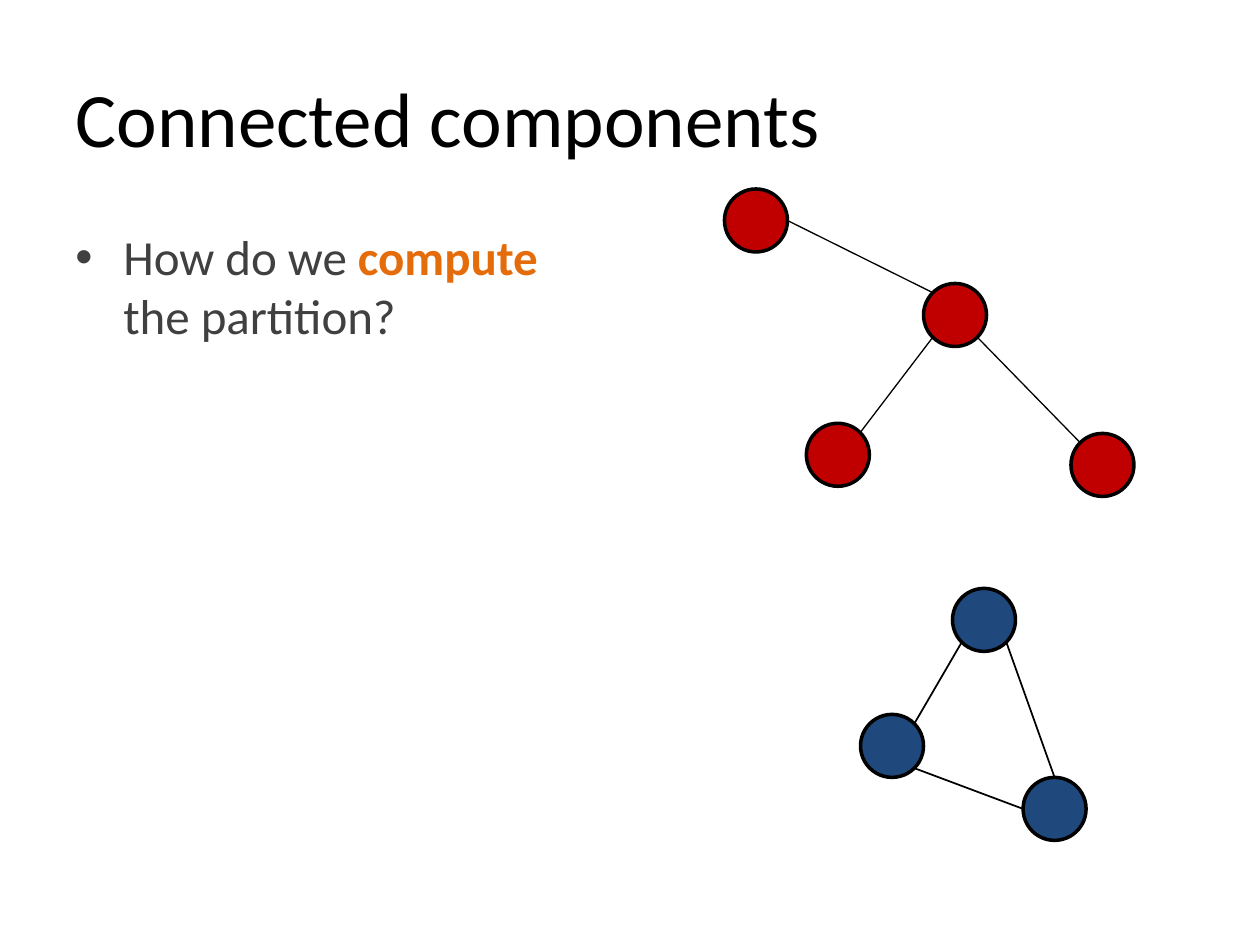
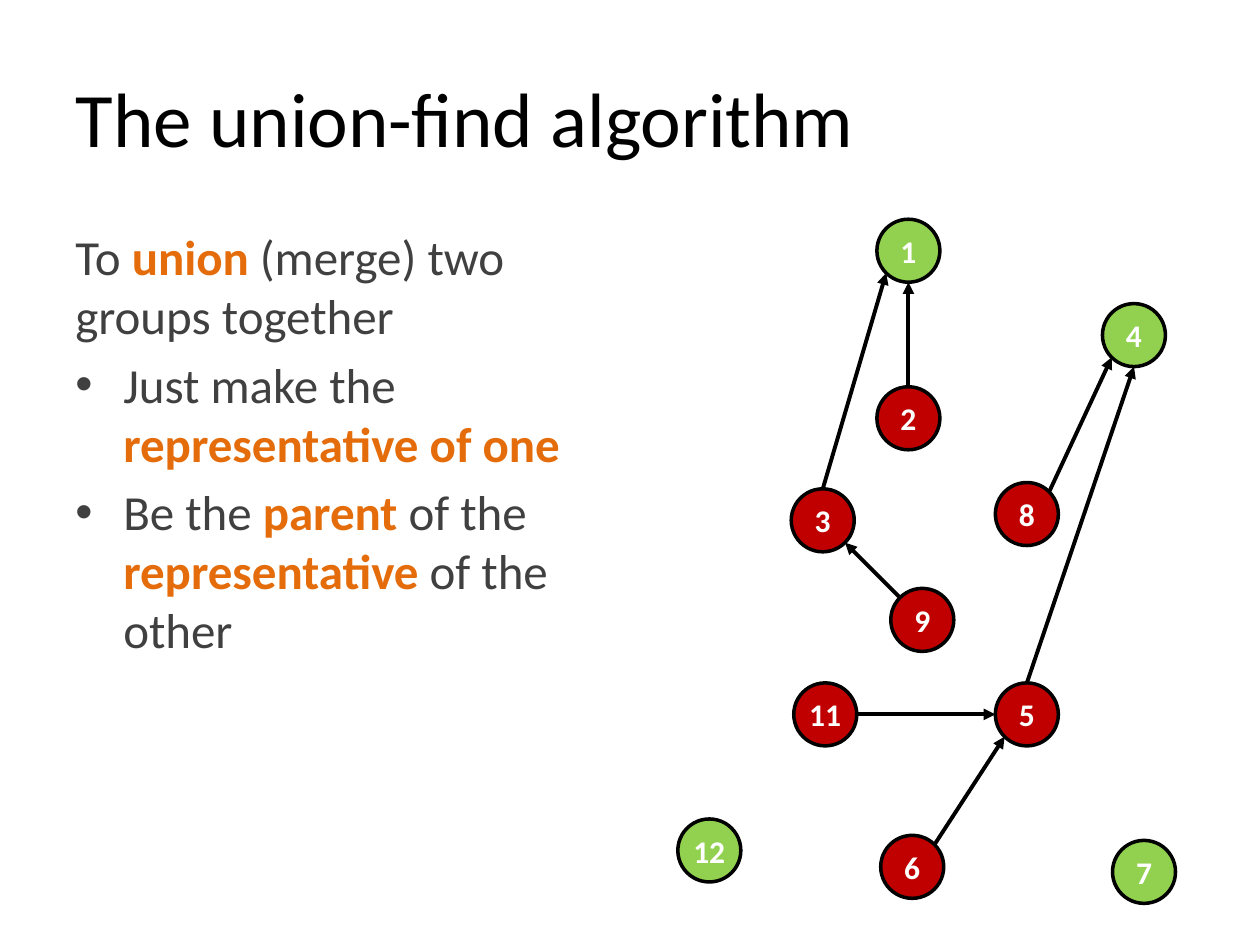
from dataclasses import dataclass
from math import sqrt

from lxml import etree
from pptx import Presentation
from pptx.dml.color import RGBColor
from pptx.enum import shapes, text
from pptx.oxml import ns
from pptx.util import Inches, Pt


@dataclass(frozen=True)
class Theme:
    font: str = "Calibri"
    black: str = "000000"
    white: str = "FFFFFF"
    grey: str = "404040"
    orange: str = "E46C0A"
    red: str = "C00000"
    blue: str = "1F497D"
    green: str = "92D050"
    title: float = 44
    body: float = 28
    label: float = 18
    rim: float = 2


T = Theme()
SIZE = 0.5
INDENT = 0.38

# Unit steps from a circle's centre to its rim.
D = 1 / sqrt(2)
SIDES = {
    "n": (0, -1), "ne": (D, -D), "e": (1, 0), "se": (D, D),
    "s": (0, 1), "sw": (-D, D), "w": (-1, 0), "nw": (-D, -D),
}


def color(code):
    return RGBColor.from_string(code)


def style(para, size, code, bold=False):
    font = para.font
    font.name, font.size, font.bold = T.font, Pt(size), bold
    font.color.rgb = color(code)


def place(shape, left, top, width, height):
    shape.left, shape.top = Inches(left), Inches(top)
    shape.width, shape.height = Inches(width), Inches(height)


def add_slide(deck, title):
    slide = deck.slides.add_slide(deck.slide_layouts[5])
    head = slide.shapes.title
    place(head, 0.5, 0.3, 9, 1.25)
    frame = head.text_frame
    frame.text = title
    frame.vertical_anchor = text.MSO_ANCHOR.MIDDLE
    para = frame.paragraphs[0]
    para.alignment = text.PP_ALIGN.LEFT
    style(para, T.title, T.black)
    return slide


def add_bullet(para):
    props = para._p.get_or_add_pPr()
    props.set("marL", str(Inches(INDENT)))
    props.set("indent", str(-Inches(INDENT)))
    face = etree.SubElement(props, ns.qn("a:buFont"))
    face.set("typeface", "Arial")
    etree.SubElement(props, ns.qn("a:buChar")).set("char", "•")


def add_body(slide, items):
    """Write (bulleted, words) items; words between asterisks stand out."""
    box = slide.shapes.add_textbox(
        Inches(0.5), Inches(1.75), Inches(4.42), Inches(4.95))
    frame = box.text_frame
    frame.word_wrap = True
    for i, (bulleted, words) in enumerate(items):
        para = frame.add_paragraph() if i else frame.paragraphs[0]
        para.space_before = Pt(0.2 * T.body)
        if bulleted:
            add_bullet(para)
        style(para, T.body, T.grey)
        for j, part in enumerate(words.split("*")):
            if part:
                run = para.add_run()
                run.text = part
                if j % 2:
                    run.font.bold = True
                    run.font.color.rgb = color(T.orange)


def add_node(slide, left, top, fill, label=""):
    node = slide.shapes.add_shape(
        shapes.MSO_SHAPE.OVAL, Inches(left), Inches(top),
        Inches(SIZE), Inches(SIZE))
    node.shadow.inherit = False
    node.fill.solid()
    node.fill.fore_color.rgb = color(fill)
    node.line.color.rgb = color(T.black)
    node.line.width = Pt(T.rim)
    if label:
        frame = node.text_frame
        frame.word_wrap = False
        frame.vertical_anchor = text.MSO_ANCHOR.MIDDLE
        frame.text = label
        para = frame.paragraphs[0]
        para.alignment = text.PP_ALIGN.CENTER
        style(para, T.label, T.white, True)


def rim_point(spot, side):
    half = SIZE / 2
    return [Inches(at + half + half * step)
            for at, step in zip(spot, SIDES[side])]


def add_edge(slide, start, end, width, arrow=False):
    """Join two (spot, side) ends."""
    line = slide.shapes.add_connector(
        shapes.MSO_CONNECTOR.STRAIGHT, *rim_point(*start), *rim_point(*end))
    line.line.color.rgb = color(T.black)
    line.line.width = Pt(width)
    if arrow:
        tail = etree.SubElement(line.line._get_or_add_ln(), ns.qn("a:tailEnd"))
        tail.set("type", "triangle")
    etree.SubElement(line._element.spPr, ns.qn("a:effectLst"))


def add_graph(slide, nodes, edges, width, labels=False, arrow=False):
    """Draw nodes {name: (left, top, fill)} and edges "from side to side"."""
    for name, (left, top, fill) in nodes.items():
        add_node(slide, left, top, fill, name if labels else "")
    for edge in edges:
        tail, out, head, into = edge.split()
        add_edge(slide, (nodes[tail][:2], out), (nodes[head][:2], into),
                 width, arrow)


def add_parts(deck):
    slide = add_slide(deck, "Connected components")
    add_body(slide, [(True, "How do we *compute *the partition?")])
    tree = {
        "top": (5.75, 1.5, T.red), "hub": (7.33, 2.25, T.red),
        "left": (6.4, 3.36, T.red), "right": (8.5, 3.44, T.red),
    }
    add_graph(slide, tree, ["top e hub nw", "left ne hub sw",
                            "hub se right nw"], 0.75)
    ring = {
        "top": (7.56, 4.67, T.blue), "right": (8.12, 6.17, T.blue),
        "left": (6.83, 5.67, T.blue),
    }
    add_graph(slide, ring, ["top se right n", "right w left se",
                            "left ne top sw"], 1)


def add_union(deck):
    slide = add_slide(deck, "The union-find algorithm")
    add_body(slide, [
        (False, "To *union *(merge) two groups together"),
        (True, "Just make the *representative of one*"),
        (True, "Be the *parent *of the *representative *of the other"),
    ])
    nodes = {
        "1": (6.96, 1.74, T.green), "2": (6.96, 3.07, T.red),
        "3": (6.28, 3.88, T.red), "4": (8.75, 2.41, T.green),
        "5": (7.9, 5.42, T.red), "6": (6.99, 6.63, T.red),
        "7": (8.83, 6.67, T.green), "8": (7.9, 3.83, T.red),
        "9": (7.07, 4.67, T.red), "11": (6.3, 5.42, T.red),
        "12": (5.38, 6.5, T.green),
    }
    links = ["2 n 1 s", "9 nw 3 se", "6 ne 5 sw", "11 e 5 w",
             "8 ne 4 sw", "5 n 4 s", "3 n 1 sw"]
    add_graph(slide, nodes, links, 2.25, labels=True, arrow=True)


def main():
    deck = Presentation()
    deck.slide_width, deck.slide_height = Inches(10), Inches(7.5)
    add_parts(deck)
    add_union(deck)
    deck.save("out.pptx")


if __name__ == "__main__":
    main()
